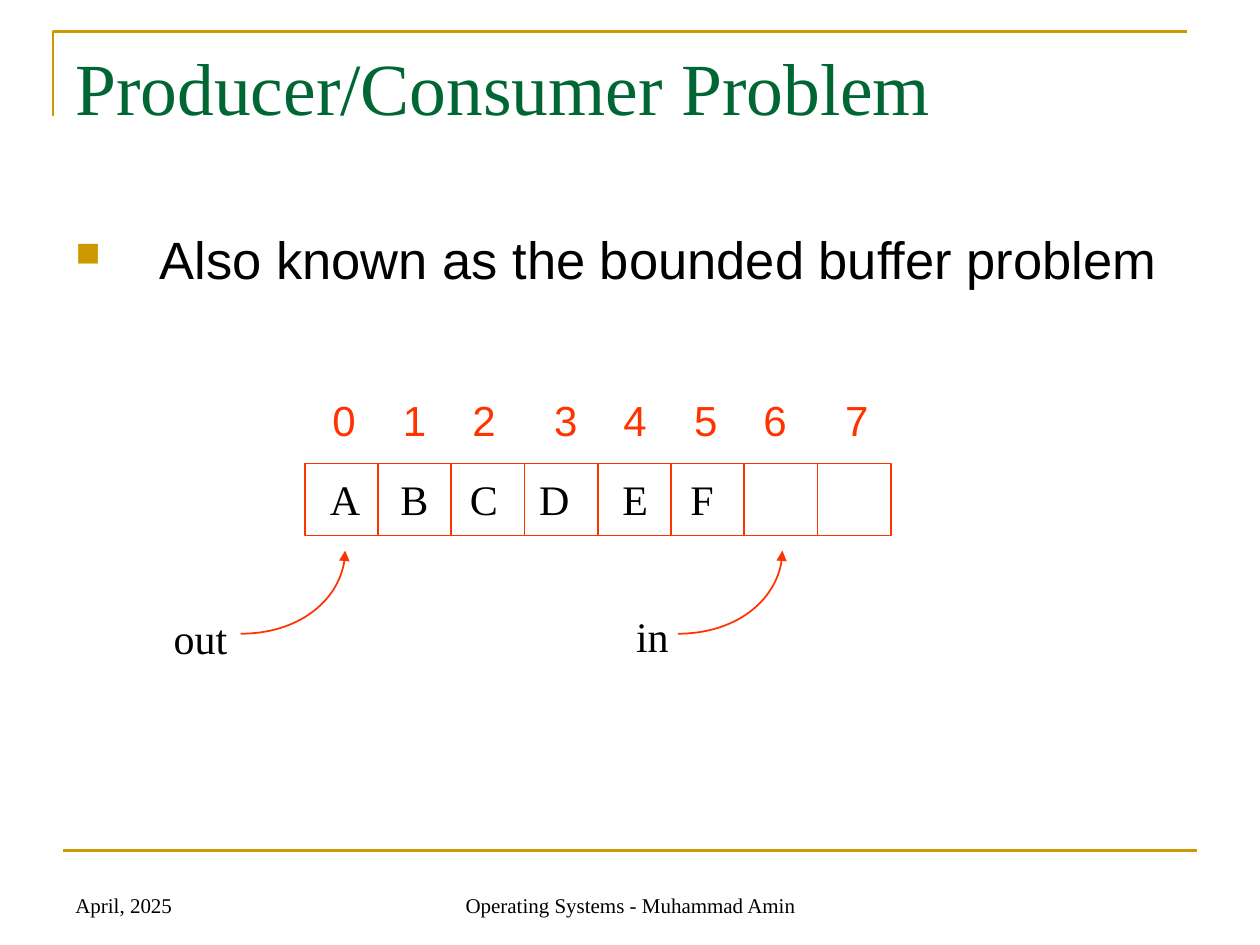
from pptx import Presentation
from pptx.dml.color import RGBColor
from pptx.enum.shapes import MSO_CONNECTOR, MSO_SHAPE
from pptx.enum.text import MSO_ANCHOR, PP_ALIGN
from pptx.oxml.ns import qn
from pptx.util import Inches, Pt
from lxml.etree import SubElement

GOLD, GREEN, RED, BLACK = "CC9900", "006633", "FF3300", "000000"
SERIF, SANS = "Times New Roman", "Arial"


def color(code):
    """Turn a hex string into a colour."""
    return RGBColor.from_string(code)


def add_text(slide, text, box, size=24, font=SERIF, ink=BLACK,
             align=PP_ALIGN.LEFT, anchor=MSO_ANCHOR.TOP,
             stops=(), bullet=False):
    """Add a one-paragraph text box and format it."""
    frame = slide.shapes.add_textbox(*map(Inches, box)).text_frame
    frame.word_wrap = True
    frame.vertical_anchor = anchor
    para = frame.paragraphs[0]
    para.alignment = align
    props = para._p.get_or_add_pPr()
    if bullet:
        add_bullet(props)
    if stops:
        tabs = SubElement(props, qn("a:tabLst"))
        for stop in stops:
            SubElement(tabs, qn("a:tab"), pos=str(Inches(stop)), algn="l")
    run = para.add_run()
    run.text = text
    run.font.size = Pt(size)
    run.font.name = font
    run.font.color.rgb = color(ink)


def add_bullet(props):
    """Give a paragraph a hanging square bullet."""
    props.set("marL", str(Inches(0.67)))
    props.set("indent", str(-Inches(0.67)))
    tint = SubElement(props, qn("a:buClr"))
    SubElement(tint, qn("a:srgbClr"), val=GOLD)
    SubElement(props, qn("a:buSzPct"), val="65000")
    SubElement(props, qn("a:buChar"), char="■")


def set_line(shape, ink, width):
    """Set the colour and width of an outline."""
    shape.line.color.rgb = color(ink)
    shape.line.width = Pt(width)


def add_line(shapes, start, end, ink, width):
    """Draw a straight line without shadow."""
    line = shapes.add_connector(MSO_CONNECTOR.STRAIGHT,
                                *map(Inches, (*start, *end)))
    set_line(line, ink, width)
    SubElement(line._element.spPr, qn("a:effectLst"))


def add_path(slide, points, ink, width):
    """Draw an open, unfilled path through the points."""
    first, *rest = [(Inches(x), Inches(y)) for x, y in points]
    pen = slide.shapes.build_freeform(*first)
    pen.add_line_segments(rest, close=False)
    shape = pen.convert_to_shape()
    shape.fill.background()
    shape.shadow.inherit = False
    set_line(shape, ink, width)
    return shape


def add_arrow(slide, left, top=4.37, width=0.83, height=0.66):
    """Draw a quarter curve that rises to an arrowhead."""
    right, base = left + width, top + height
    points = [(left, base), (left + 0.55 * width, base),
              (right, top + 0.55 * height), (right, top)]
    shape = add_path(slide, points, RED, 1)
    path = shape._element.find(".//" + qn("a:path"))
    curve = SubElement(path, qn("a:cubicBezTo"))
    for step in path.findall(qn("a:lnTo")):
        curve.append(step[0])
        path.remove(step)
    SubElement(shape.line._get_or_add_ln(), qn("a:tailEnd"), type="triangle")


def add_buffer(slide, left=2.42, top=3.68, width=4.65, height=0.57, count=8):
    """Draw the buffer as a row of equal cells."""
    shapes = slide.shapes.add_group_shape().shapes
    frame = shapes.add_shape(MSO_SHAPE.RECTANGLE,
                             *map(Inches, (left, top, width, height)))
    frame.fill.background()
    frame.shadow.inherit = False
    set_line(frame, RED, 1)
    for index in range(1, count):
        x = left + index * width / count
        add_line(shapes, (x, top), (x, top + height), RED, 1)


def main():
    """Build and save the slide."""
    deck = Presentation()
    deck.slide_width, deck.slide_height = Inches(10), Inches(7.5)
    slide = deck.slides.add_slide(deck.slide_layouts[6])
    add_path(slide, [(0.42, 0.92), (0.42, 0.25), (9.42, 0.25)], GOLD, 1.5)
    add_line(slide.shapes, (0.5, 6.75), (9.5, 6.75), GOLD, 1.5)
    add_text(slide, "April, 2025", (0.5, 6.83, 2.33, 0.5), size=12,
             anchor=MSO_ANCHOR.BOTTOM)
    add_text(slide, "Operating Systems - Muhammad Amin",
             (3.42, 6.83, 3.17, 0.5), size=12, align=PP_ALIGN.CENTER,
             anchor=MSO_ANCHOR.BOTTOM)
    add_text(slide, "Producer/Consumer Problem", (0.5, 0.06, 9, 1.25),
             size=42, ink=GREEN, anchor=MSO_ANCHOR.MIDDLE)
    add_text(slide, "Also known as the bounded buffer problem",
             (0.5, 1.75, 9, 1.28), size=30, font=SANS, bullet=True)
    add_text(slide, "\t".join("01234567"), (2.54, 3.08, 4.46, 0.5),
             font=SANS, ink=RED,
             stops=(0.56, 1.11, 1.76, 2.31, 2.87, 3.42, 4.07))
    add_buffer(slide)
    add_text(slide, "\t".join("ABCDEF"), (2.52, 3.71, 3.28, 0.5),
             stops=(0.56, 1.11, 1.66, 2.32, 2.86))
    for label, left, top, tail in (("out", 1.28, 4.81, 1.91),
                                   ("in", 4.95, 4.8, 5.38)):
        add_text(slide, label, (left, top, 0.7, 0.5))
        add_arrow(slide, tail)
    deck.save("out.pptx")


if __name__ == "__main__":
    main()
